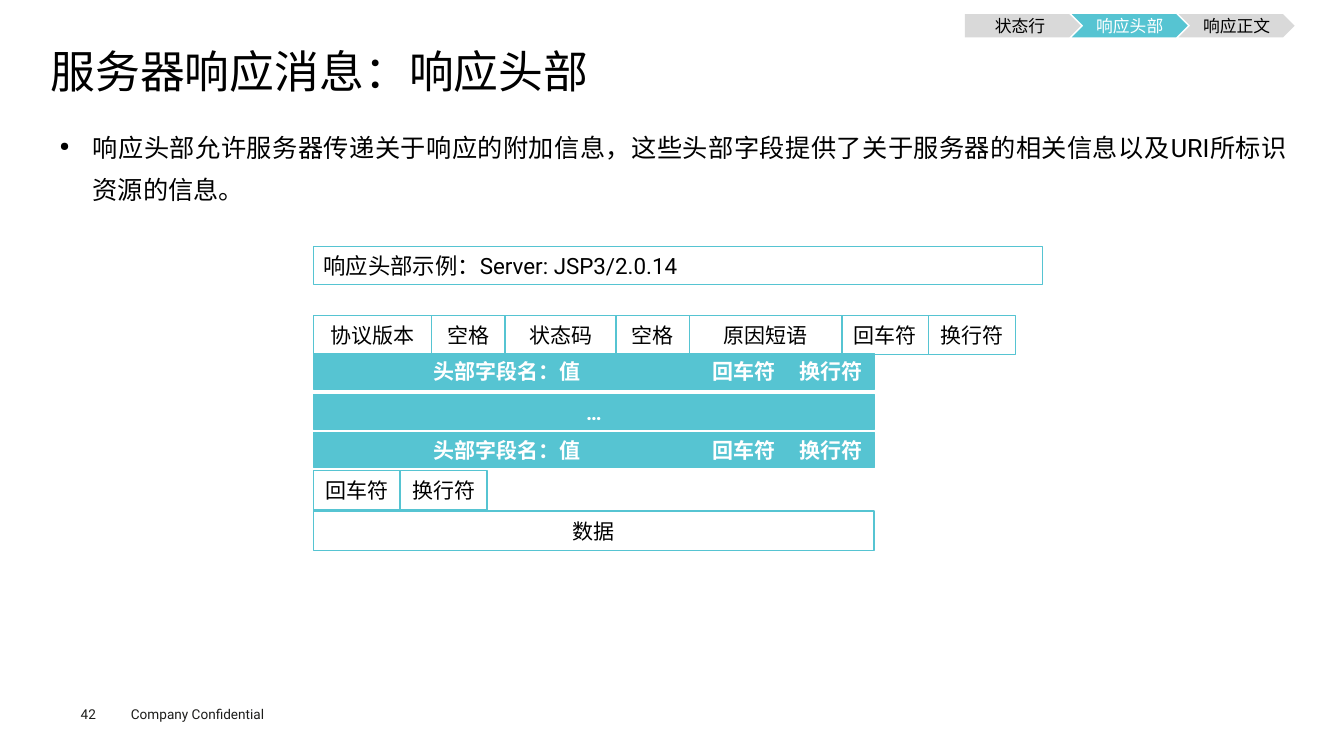
import pptx
import pptx.util
import pptx.dml.color
import pptx.enum.shapes
import pptx.enum.text
import pptx.oxml
import pptx.oxml.ns

Inches = pptx.util.Inches
SHAPE = pptx.enum.shapes.MSO_SHAPE
ALIGN = pptx.enum.text.PP_ALIGN
ANCHOR = pptx.enum.text.MSO_ANCHOR
FIT = pptx.enum.text.MSO_AUTO_SIZE.SHAPE_TO_FIT_TEXT

FONT = "Roboto"
TEAL, GREY, WHITE, BLACK, INK = "56C4D2", "D9D9D9", "FFFFFF", "000000", "1D1D1B"

TITLE = "服务器响应消息：响应头部"
BODY = "响应头部允许服务器传递关于响应的附加信息，这些头部字段提供了关于服务器的相关信息以及URI所标识资源的信息。"
EXAMPLE = "响应头部示例：Server: JSP3/2.0.14"
FOOTER = "Company Confidential"
PAGE = "42"

# label, outline, fill, text colour
STEPS = [
    ("状态行", SHAPE.PENTAGON, GREY, BLACK),
    ("响应头部", SHAPE.CHEVRON, TEAL, WHITE),
    ("响应正文", SHAPE.CHEVRON, GREY, BLACK),
]
STEP_LEFT, STEP_PITCH = 9.57, 1.06

LINE_END = [("回车符", 0.86), ("换行符", 0.86)]
HEADER_FIELD = [("头部字段名：值", 3.84)] + LINE_END
STATUS_LINE = [("协议版本", 1.17), ("空格", 0.73), ("状态码", 1.1),
               ("空格", 0.73), ("原因短语", 1.51)] + LINE_END
# top, cells as (label, width), highlighted
MESSAGE_ROWS = [
    (3.13, STATUS_LINE, False),
    (3.51, HEADER_FIELD, True),
    (3.91, [("…", 5.56)], True),
    (4.29, HEADER_FIELD, True),
    (4.67, LINE_END, False),
    (5.07, [("数据", 5.56)], False),
]
MESSAGE_LEFT = 3.11


def rgb(code):
    return pptx.dml.color.RGBColor.from_string(code)


def write(shape, text, size, color, align=ALIGN.LEFT, anchor=ANCHOR.TOP,
          bold=False, inset=None, grow=False):
    """Fill the shape's text frame with one formatted paragraph and return it."""
    frame = shape.text_frame
    frame.word_wrap = True
    frame.vertical_anchor = anchor
    if grow:
        frame.auto_size = FIT
    if inset is not None:
        frame.margin_left = frame.margin_right = Inches(inset[0])
        frame.margin_top = frame.margin_bottom = Inches(inset[1])
    frame.text = text
    paragraph = frame.paragraphs[0]
    paragraph.alignment = align
    font = paragraph.runs[0].font
    font.name, font.size, font.bold = FONT, pptx.util.Pt(size), bold
    font.color.rgb = rgb(color)
    return paragraph


def add_text(slide, box, *args, **options):
    return write(slide.shapes.add_textbox(*map(Inches, box)), *args, **options)


def add_box(slide, kind, box, fill=None, line=None, weight=0.75):
    shape = slide.shapes.add_shape(kind, *map(Inches, box))
    shape.shadow.inherit = False
    if fill:
        shape.fill.solid()
        shape.fill.fore_color.rgb = rgb(fill)
    else:
        shape.fill.background()
    if line:
        shape.line.color.rgb = rgb(line)
        shape.line.width = pptx.util.Pt(weight)
    else:
        shape.line.fill.background()
    return shape


def add_bullet(paragraph, char, percent, indent):
    properties = paragraph._p.get_or_add_pPr()
    properties.set("marL", str(Inches(indent)))
    properties.set("indent", str(-Inches(indent)))
    for tag, name, value in (("buSzPct", "val", str(percent * 1000)),
                             ("buChar", "char", char)):
        element = pptx.oxml.parse_xml(
            f'<a:{tag} {pptx.oxml.ns.nsdecls("a")} {name}="{value}"/>')
        properties.append(element)


def add_steps(slide):
    for index, (label, kind, fill, color) in enumerate(STEPS):
        box = (STEP_LEFT + index * STEP_PITCH, 0.14, 1.15, 0.23)
        step = add_box(slide, kind, box, fill)
        write(step, label, 12, color, ALIGN.CENTER, ANCHOR.MIDDLE)


def add_message(slide):
    for top, cells, highlighted in MESSAGE_ROWS:
        left = MESSAGE_LEFT
        for label, width in cells:
            if highlighted:
                cell = add_box(slide, SHAPE.RECTANGLE, (left, top, width, 0.35), TEAL, TEAL)
                write(cell, label, 15, WHITE, ALIGN.CENTER, bold=True, grow=True)
            else:
                cell = add_box(slide, SHAPE.RECTANGLE, (left, top, width, 0.39), WHITE, TEAL, 1)
                write(cell, label, 15, BLACK, ALIGN.CENTER, ANCHOR.MIDDLE)
            left += width


def main():
    deck = pptx.Presentation()
    deck.slide_width, deck.slide_height = Inches(13.33), Inches(7.5)
    slide = deck.slides.add_slide(deck.slide_layouts[6])

    add_text(slide, (1.2, 6.95, 1.6, 0.27), FOOTER, 9.7, INK, grow=True)
    add_text(slide, (0.8, 7, 0.55, 0.16), PAGE, 9.7, INK, inset=(0, 0), grow=True)
    title = add_text(slide, (0.5, 0.49, 12.35, 0.53), TITLE, 32, BLACK, inset=(0, 0))
    title.line_spacing = 0.9
    body = add_text(slide, (0.5, 1.15, 12.35, 5.34), BODY, 18, BLACK,
                    ALIGN.JUSTIFY, inset=(0.09, 0.04))
    body.line_spacing = 1.4
    add_bullet(body, "●", 50, 0.33)

    add_message(slide)
    example = add_box(slide, SHAPE.RECTANGLE, (MESSAGE_LEFT, 2.45, 7.23, 0.37), line=TEAL)
    write(example, EXAMPLE, 16, BLACK, grow=True)
    add_steps(slide)
    deck.save("out.pptx")


if __name__ == "__main__":
    main()
